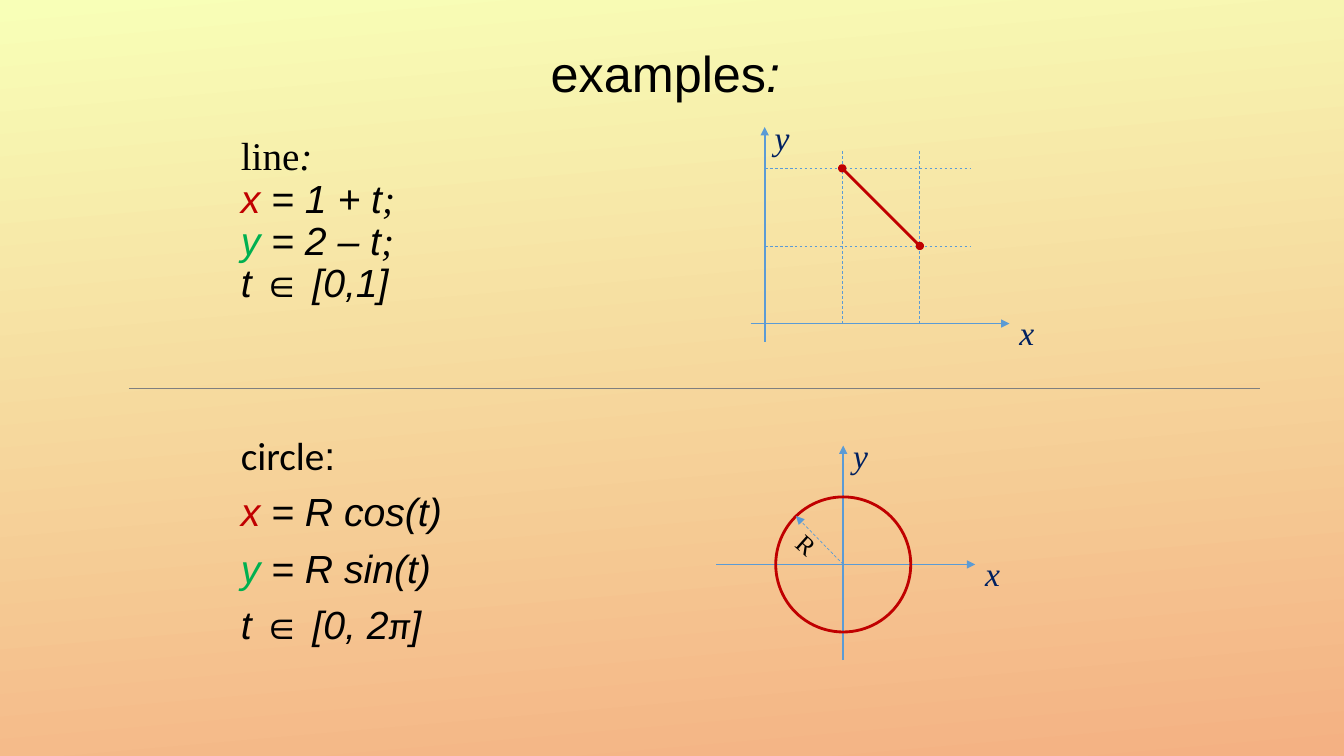
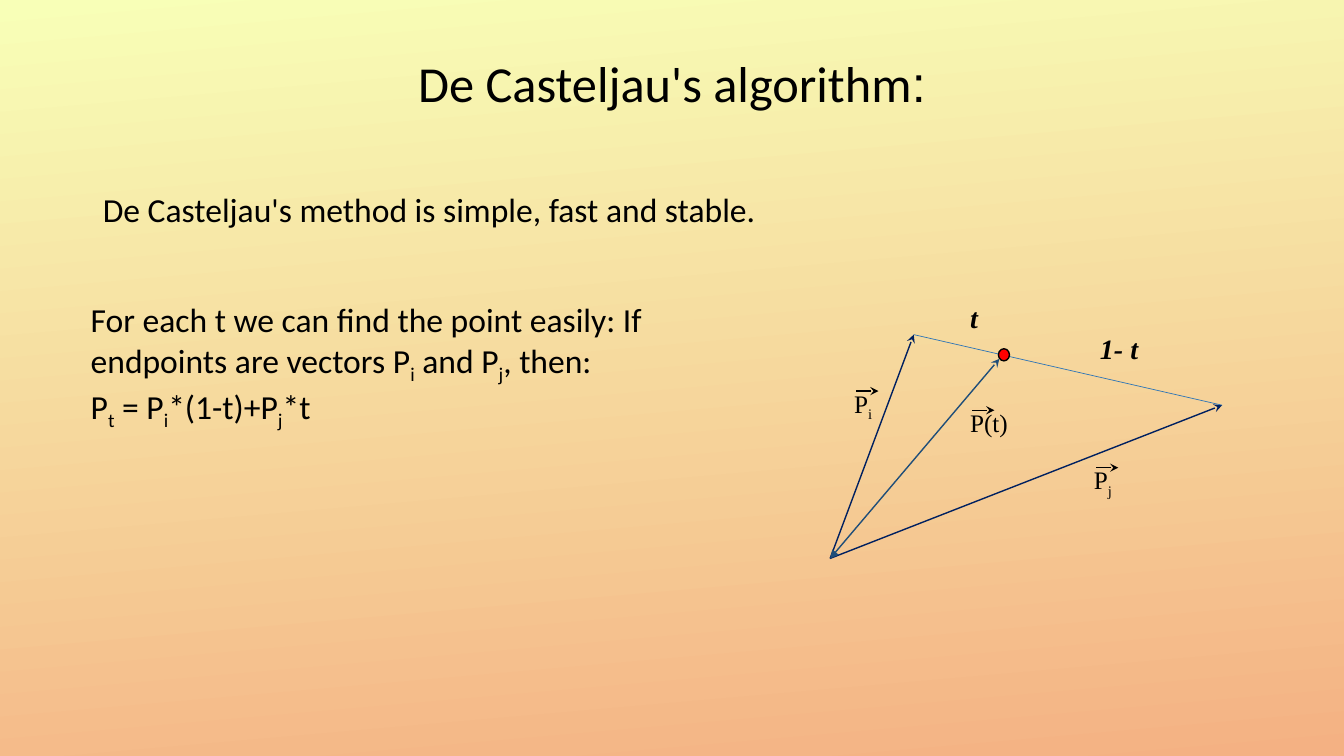
from lxml import etree
from pptx import Presentation
from pptx.dml.color import RGBColor
from pptx.enum.dml import MSO_LINE
from pptx.enum.shapes import MSO_CONNECTOR, MSO_SHAPE
from pptx.enum.text import MSO_ANCHOR, MSO_AUTO_SIZE, PP_ALIGN
from pptx.oxml.ns import qn
from pptx.util import Inches, Pt

STRAIGHT = MSO_CONNECTOR.STRAIGHT
OVAL = MSO_SHAPE.OVAL
DASH = MSO_LINE.DASH
MIDDLE = MSO_ANCHOR.MIDDLE
TOP = MSO_ANCHOR.TOP
NO_AUTOFIT = MSO_AUTO_SIZE.NONE
CENTER = PP_ALIGN.CENTER
LEFT = PP_ALIGN.LEFT

COLORS = {
    "bg_top": "F8FFB7",
    "bg_bottom": "F4B183",
    "text": "000000",
    "curve": "C00000",
    "green": "00B050",
    "axis": "5B9BD5",
    "navy": "002060",
    "divider": "7F7F7F",
    "segment": "2E75B6",
    "point": "FF0000",
    "point_vector": "1F4E79",
}

SERIF = "Times New Roman"
TITLE = {"size": Pt(36), "name": "Calibri"}
FORMULA = {"size": Pt(28), "name": "Arial", "italic": True}
BODY = {"size": Pt(24), "name": "Calibri"}
AXIS_LABEL = {"size": Pt(24), "name": SERIF, "italic": True, "color": "navy"}
VECTOR_LABEL = {"size": Pt(18), "name": SERIF}
RATIO_LABEL = {"size": Pt(20), "name": SERIF, "bold": True, "italic": True}

X_AXIS, Y_AXIS = 2.57, 2.13
GRID_STEP = 0.77
SUB = {"baseline": "-25000"}


def rgb(name):
    return RGBColor.from_string(COLORS[name])


def set_background(prs):
    fill = prs.slide_master.background.fill
    fill.gradient()
    fill.gradient_angle = 275
    for stop, name in zip(fill.gradient_stops, ("bg_top", "bg_bottom")):
        stop.color.rgb = rgb(name)


def add_run(p, text, fmt):
    r = p.add_run()
    r.text = text
    for key, value in {"color": "text", **fmt}.items():
        if key == "color":
            r.font.color.rgb = rgb(value)
        elif key == "baseline":
            r._r.get_or_add_rPr().set("baseline", value)
        else:
            setattr(r.font, key, value)


def write(tf, paragraphs, base, **layout):
    gap = layout.pop("gap", 0)
    for i, runs in enumerate(paragraphs):
        p = tf.paragraphs[0] if i == 0 else tf.add_paragraph()
        for key, value in layout.items():
            setattr(p, key, value)
        p.space_before = Pt(gap if i else 0)
        for text, fmt in runs:
            add_run(p, text, {**base, **fmt})


def place(sp, box):
    sp.left, sp.top, sp.width, sp.height = (Inches(v) for v in box)
    sp.text_frame.auto_size = NO_AUTOFIT
    sp.text_frame.word_wrap = True


def add_title(s, runs, box):
    sp = s.shapes.title
    place(sp, box)
    sp.text_frame.vertical_anchor = MIDDLE
    write(sp.text_frame, [runs], TITLE, alignment=CENTER, line_spacing=0.9)


def add_body(s, idx, paragraphs, box, base, **layout):
    sp = s.placeholders[idx]
    place(sp, box)
    tf = sp.text_frame
    tf.vertical_anchor = TOP
    write(tf, paragraphs, base, alignment=LEFT, **layout)
    for p in tf.paragraphs:
        pPr = p._p.get_or_add_pPr()
        pPr.set("marL", "0")
        pPr.set("indent", "0")
        etree.SubElement(pPr, qn("a:buNone"))


def add_label(s, runs, box, base, wrap=True, rotation=0):
    sp = s.shapes.add_textbox(*(Inches(v) for v in box))
    sp.rotation = rotation
    sp.text_frame.word_wrap = wrap
    write(sp.text_frame, [runs], base)


def add_line(s, start, end, color, width, dash=None, head=None, tail=None):
    c = s.shapes.add_connector(STRAIGHT, *(Inches(v) for v in (*start, *end)))
    c.line.color.rgb = rgb(color)
    c.line.width = Pt(width)
    if dash:
        c.line.dash_style = dash
    spPr = c._element.spPr
    ln = spPr.find(qn("a:ln"))
    for tag, kind in (("a:headEnd", head), ("a:tailEnd", tail)):
        if kind:
            etree.SubElement(ln, qn(tag)).set("type", kind)
    etree.SubElement(spPr, qn("a:effectLst"))


def add_ellipse(s, box, line, width, fill=None):
    sp = s.shapes.add_shape(OVAL, *(Inches(v) for v in box))
    sp.shadow.inherit = False
    if fill:
        sp.fill.solid()
        sp.fill.fore_color.rgb = rgb(fill)
    else:
        sp.fill.background()
    sp.line.color.rgb = rgb(line)
    sp.line.width = Pt(width)


def add_axes(s, x0, y0, left, bottom):
    right, top = left + X_AXIS, bottom - Y_AXIS
    add_line(s, (left, y0), (right, y0), "axis", 1.25, tail="triangle")
    add_line(s, (x0, bottom), (x0, top), "axis", 1.5, tail="triangle")
    add_label(s, [("x", {})], (right, y0 - 0.16, 0.57, 0.5), AXIS_LABEL)
    add_label(s, [("y", {})], (x0, top - 0.15, 0.57, 0.5), AXIS_LABEL)


def add_vector_label(s, runs, left, top, width):
    add_label(s, runs, (left, top, width, 0.44), VECTOR_LABEL)
    x, y = left + 0.12, top + 0.08
    add_line(s, (x, y), (x + 0.22, y), "text", 1, tail="stealth")


def add_line_plot(s):
    x0, y0 = 7.59, 3.21
    x1, x2 = (x0 + GRID_STEP * k for k in (1, 2))
    y1, y2 = (y0 - GRID_STEP * k for k in (1, 2))
    add_axes(s, x0, y0, 7.45, 3.39)
    for y in (y1, y2):
        add_line(s, (x0, y), (9.63, y), "axis", 0.5, DASH)
    for x in (x1, x2):
        add_line(s, (x, y0), (x, 1.5), "axis", 0.5, DASH)
    add_line(s, (x1, y2), (x2, y1), "curve", 2, head="oval", tail="oval")


def add_circle_plot(s):
    x0, y0, radius = 8.37, 5.6, 0.67
    add_axes(s, x0, y0, 7.11, 6.55)
    add_ellipse(s, (x0 - radius, y0 - radius, 2 * radius, 2 * radius), "curve", 2)
    add_line(s, (x0, y0), (7.9, 5.12), "axis", 0.5, DASH, tail="triangle")
    add_label(s, [("R", {})], (7.83, 5.19, 0.33, 0.4), VECTOR_LABEL, rotation=41.5)


def add_vector_diagram(s):
    origin, pi, pj = (8.24, 5.54), (9.07, 3.32), (12.13, 4.02)
    for end in (pi, pj):
        add_line(s, origin, end, "navy", 1, tail="stealth")
    add_line(s, pi, pj, "segment", 0.5)
    add_ellipse(s, (9.91, 3.46, 0.11, 0.12), "text", 1, "point")
    add_line(s, origin, (9.92, 3.56), "point_vector", 1, head="triangle", tail="stealth")
    add_vector_label(s, [("P", {}), ("i", SUB)], 8.38, 3.8, 0.56)
    add_vector_label(s, [("P", {}), ("j", SUB)], 10.76, 4.56, 0.56)
    add_vector_label(s, [("P(t)", {})], 9.53, 3.99, 0.7)
    add_label(s, [("t", {})], (9.53, 2.93, 0.27, 0.44), RATIO_LABEL, wrap=False)
    add_label(s, [("1- t", {})], (10.82, 3.24, 0.76, 0.44), RATIO_LABEL)


def build_examples(s):
    x, y = ("x", {"color": "curve"}), ("y", {"color": "green"})
    serif, arial = {"name": SERIF}, {"name": "Arial"}
    upright = {"italic": False}
    add_title(s, [("examples", arial), (":", {**arial, "italic": True})],
              (1.28, 0.41, 10.65, 0.7))
    line_text = [
        [("line", {**serif, **upright}), (":", serif)],
        [x, (" = 1 + t", {}), (";", serif)],
        [y, (" = 2 – t", {}), (";", serif)],
        [("t ∈ [0,1]", {})],
    ]
    circle_text = [
        [("circle", {"name": "Calibri", **upright}), (":", upright)],
        [x, (" = R cos(t)", {})],
        [y, (" = R sin(t)", {})],
        [("t ∈ [0, 2", {}), ("π", {"name": "Calibri"}), ("]", {})],
    ]
    add_body(s, 1, line_text, (2.29, 1.31, 3.65, 1.95), FORMULA, line_spacing=0.9)
    add_body(s, 2, circle_text, (2.29, 4.28, 4.3, 2.48), FORMULA,
             line_spacing=0.9, gap=10)
    add_line_plot(s)
    add_circle_plot(s)
    add_line(s, (1.28, 3.85), (12.51, 3.85), "divider", 0.5)


def build_casteljau(s):
    add_title(s, [("De Casteljau's algorithm", {}), (":", {"name": "Arial"})],
              (0.92, 0.4, 11.5, 0.91))
    add_body(s, 1, [[("De Casteljau's method is simple, fast and stable.", {})]],
             (0.92, 1.82, 10.36, 0.5), BODY)
    explanation = [
        [("For each t we can find the point easily: If endpoints are vectors P", {}),
         ("i", SUB), (" and P", {}), ("j", SUB), (", then:", {})],
        [("P", {}), ("t", SUB), (" = P", {}), ("i", SUB),
         ("*(1-t)+P", {}), ("j", SUB), ("*t", {})],
    ]
    add_body(s, 2, explanation, (0.8, 2.92, 6.13, 1.41), BODY)
    add_vector_diagram(s)


def main():
    prs = Presentation()
    prs.slide_width, prs.slide_height = Inches(13.34), Inches(7.5)
    set_background(prs)
    layout = prs.slide_layouts.get_by_name("Two Content")
    for build in (build_examples, build_casteljau):
        build(prs.slides.add_slide(layout))
    prs.save("out.pptx")


if __name__ == "__main__":
    main()
